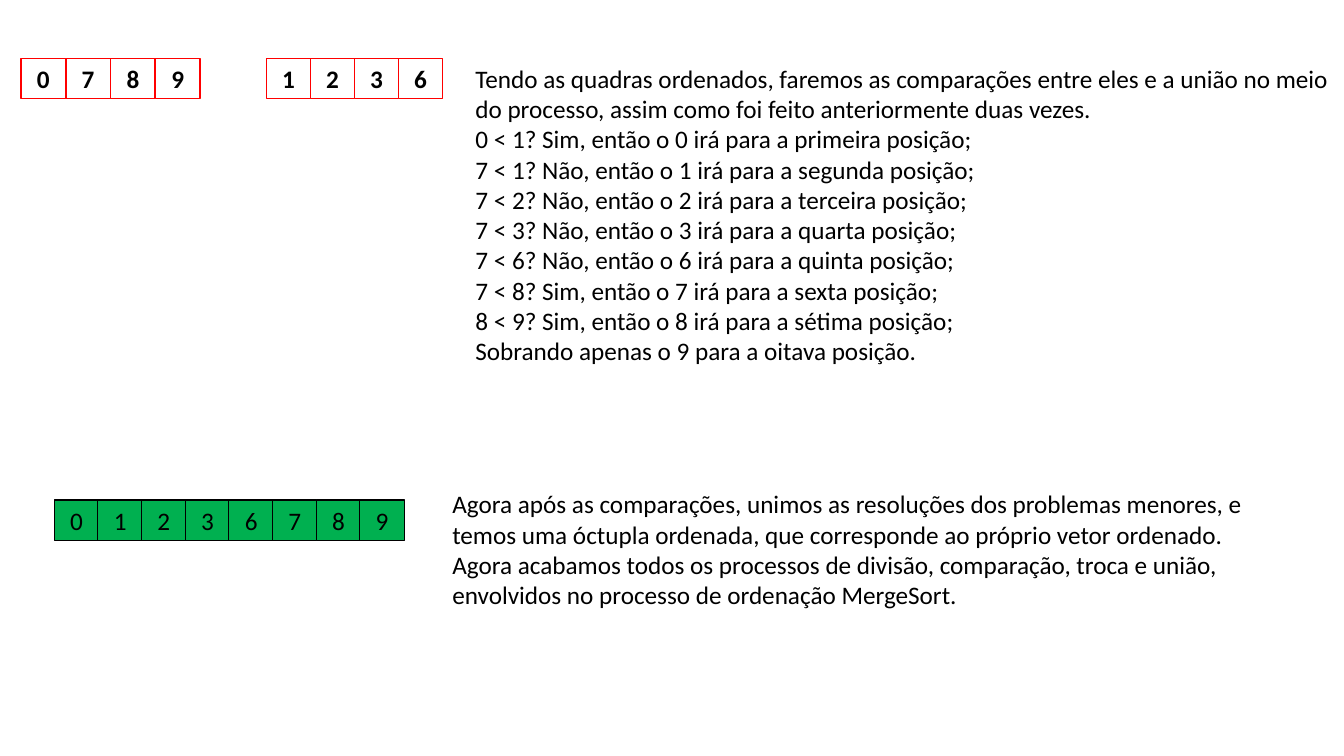
from pptx import Presentation
from pptx import util as u
from pptx.dml.color import RGBColor
from pptx.enum import shapes, text

BLACK = RGBColor(0x00, 0x00, 0x00)
WHITE = RGBColor(0xFF, 0xFF, 0xFF)
RED = RGBColor(0xFF, 0x00, 0x00)
GREEN = RGBColor(0x00, 0xB0, 0x50)

COMPARISONS = "\n".join([
    "Tendo as quadras ordenados, faremos as comparações entre eles e a união no meio "
    "do processo, assim como foi feito anteriormente duas vezes.\v"
    "0 < 1? Sim, então o 0 irá para a primeira posição;",
    "7 < 1? Não, então o 1 irá para a segunda posição;\v"
    "7 < 2? Não, então o 2 irá para a terceira posição;",
    "7 < 3? Não, então o 3 irá para a quarta posição;",
    "7 < 6? Não, então o 6 irá para a quinta posição;",
    "7 < 8? Sim, então o 7 irá para a sexta posição;",
    "8 < 9? Sim, então o 8 irá para a sétima posição;\v"
    "Sobrando apenas o 9 para a oitava posição.",
])
CONCLUSION = (
    "Agora após as comparações, unimos as resoluções dos problemas menores, e temos uma "
    "óctupla ordenada, que corresponde ao próprio vetor ordenado. Agora acabamos todos os "
    "processos de divisão, comparação, troca e união, envolvidos no processo de ordenação "
    "MergeSort."
)

QUARTET = {"fill": WHITE, "line": RED, "width": 1, "bold": True}
SORTED = {"fill": GREEN, "line": BLACK, "width": 0.75, "bold": False}


class SlideBuilder:
    font = {"name": "Calibri", "size": u.Pt(18)}
    cell_width = 1.12
    cell_height = 1.02

    def __init__(self, slide):
        self.slide = slide

    def fill_text(self, shape, content, alignment, **extra):
        frame = shape.text_frame
        frame.text = content
        frame.word_wrap = True
        for paragraph in frame.paragraphs:
            paragraph.alignment = alignment
            for run in paragraph.runs:
                for key, value in {**self.font, **extra}.items():
                    setattr(run.font, key, value)
                run.font.color.rgb = BLACK

    def array(self, values, left, top, pitch, style):
        group = self.slide.shapes.add_group_shape()
        for index, value in enumerate(values):
            cell = group.shapes.add_shape(
                shapes.MSO_SHAPE.RECTANGLE, u.Cm(left + index * pitch), u.Cm(top),
                u.Cm(self.cell_width), u.Cm(self.cell_height))
            cell.shadow.inherit = False
            cell.fill.solid()
            cell.fill.fore_color.rgb = style["fill"]
            cell.line.color.rgb = style["line"]
            cell.line.width = u.Pt(style["width"])
            self.fill_text(cell, str(value), text.PP_ALIGN.CENTER, bold=style["bold"])

    def text_box(self, content, left, top, width, height):
        box = self.slide.shapes.add_textbox(*map(u.Cm, (left, top, width, height)))
        self.fill_text(box, content, text.PP_ALIGN.LEFT)


def main():
    presentation = Presentation()
    presentation.slide_width = u.Cm(33.87)
    presentation.slide_height = u.Cm(19.05)
    builder = SlideBuilder(presentation.slides.add_slide(presentation.slide_layouts[6]))

    builder.array([0, 7, 8, 9], 0.53, 1.47, 1.13, QUARTET)
    builder.array([1, 2, 3, 6], 6.71, 1.47, 1.11, QUARTET)
    builder.text_box(COMPARISONS, 11.73, 1.47, 22.15, 7.95)
    builder.array([0, 1, 2, 3, 6, 7, 8, 9], 1.37, 12.6, 1.1, SORTED)
    builder.text_box(CONCLUSION, 11.15, 12.19, 21.34, 3.33)

    presentation.save("out.pptx")


if __name__ == "__main__":
    main()
